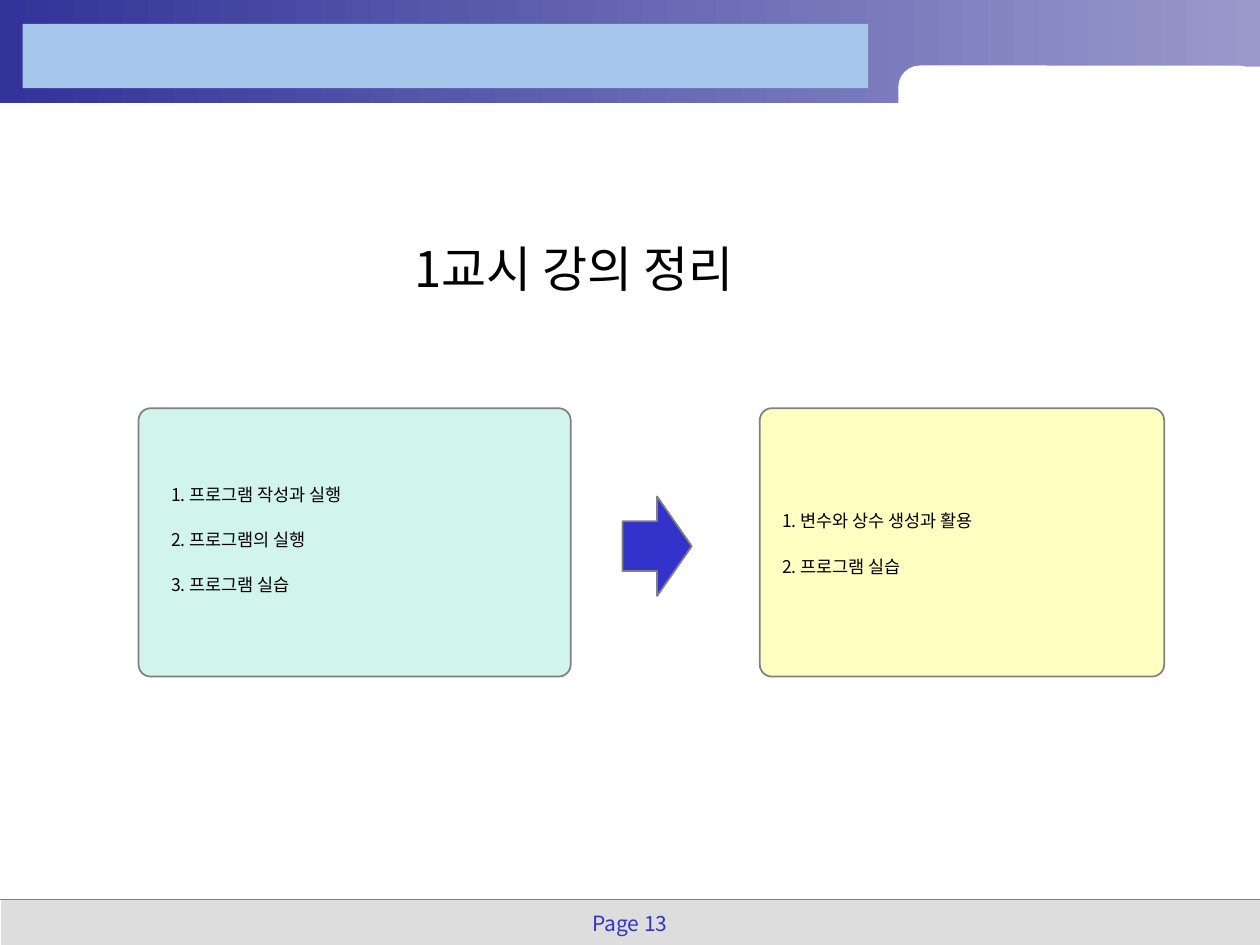
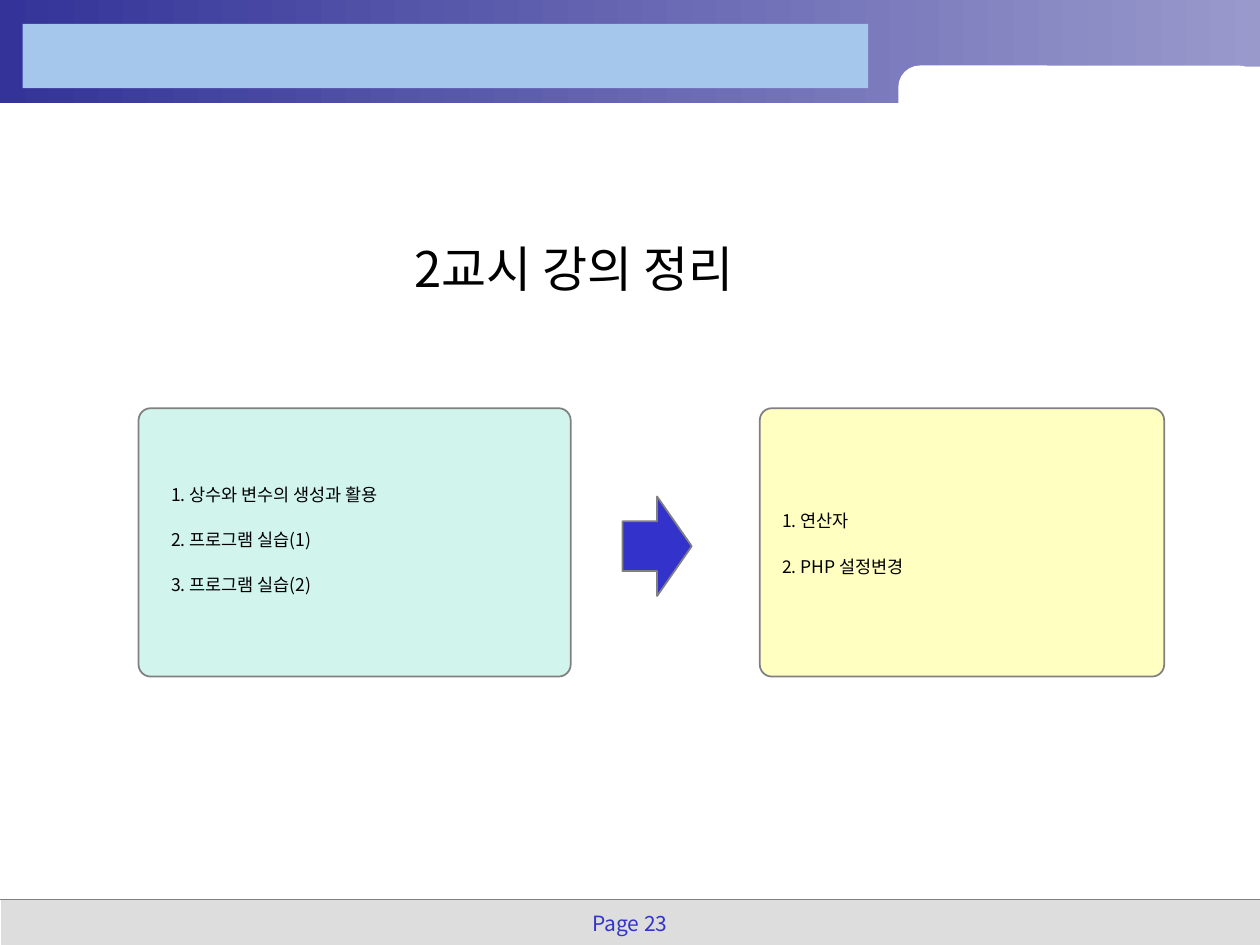
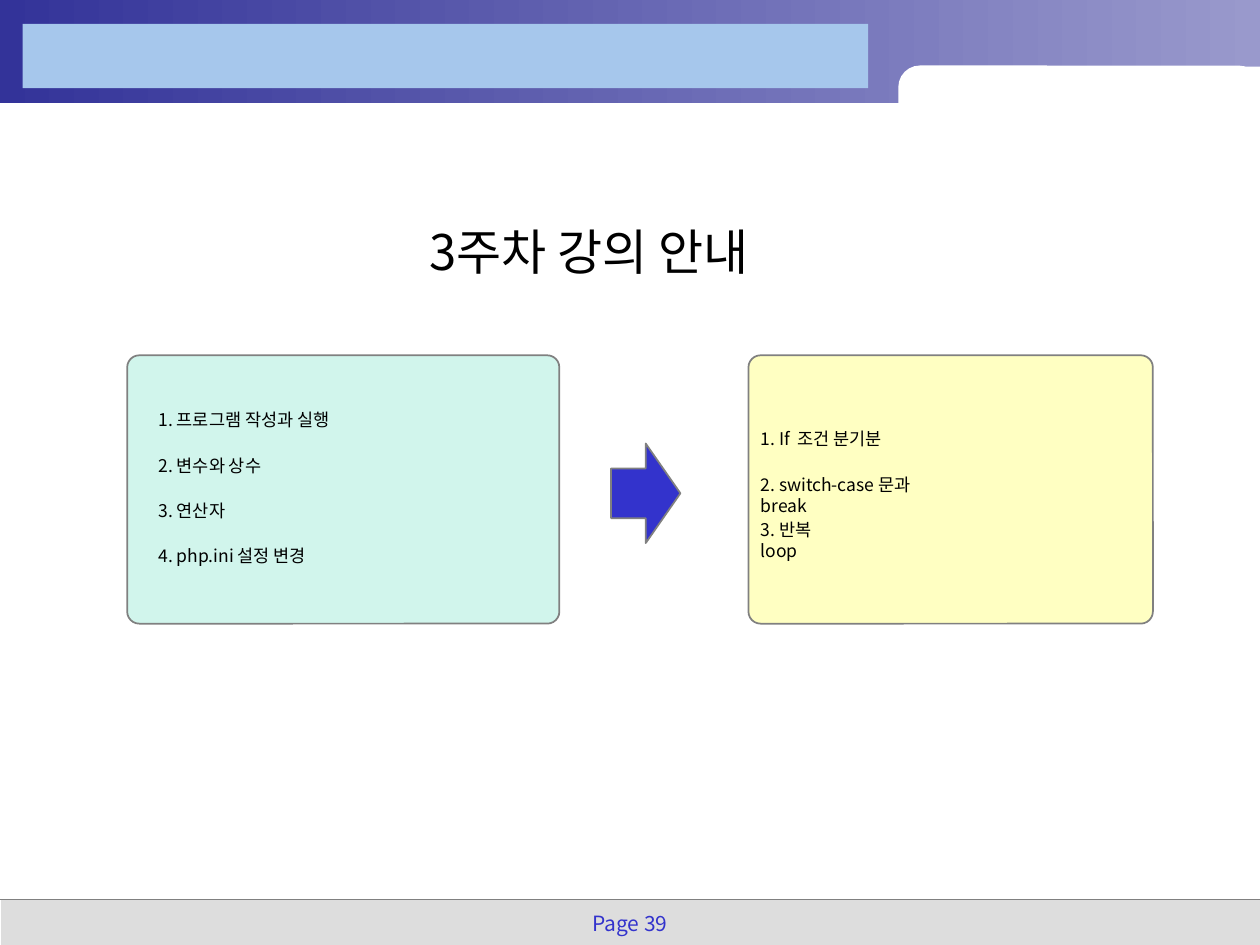
"""Build three lecture summary slides that lead from covered topics to coming ones."""
import dataclasses

import lxml.etree
import pptx
import pptx.dml.color
import pptx.enum.shapes
import pptx.enum.text
import pptx.oxml.ns
import pptx.util

Inches = pptx.util.Inches
SHAPES = pptx.enum.shapes.MSO_SHAPE
qn = pptx.oxml.ns.qn


@dataclasses.dataclass(frozen=True)
class Theme:
    font: str = "Noto Sans CJK KR"
    text: str = "000000"
    accent: str = "3333CC"
    outline: str = "808080"
    white: str = "FFFFFF"
    footer: str = "DDDDDD"
    band_start: str = "333399"
    band_end: str = "9999CC"
    title_bar: str = "A6C7EC"
    covered: str = "00CC99"
    covered_alpha: int = 18
    coming: str = "FFFF00"
    coming_alpha: int = 24
    title_size: int = 28
    page_size: int = 12
    item_size: int = 10
    line_width: int = 1


@dataclasses.dataclass(frozen=True)
class Topics:
    lines: tuple
    indent: float
    top: float
    wrap_widths: dict = dataclasses.field(default_factory=dict)


@dataclasses.dataclass(frozen=True)
class Summary:
    page_number: int
    title: str
    title_at: tuple
    board_at: tuple
    covered: Topics
    coming: Topics


THEME = Theme()
CARD_HEIGHT = 2.13
ITEM_PITCH = 0.36
ITEM_HEIGHT = 0.27

SUMMARIES = (
    Summary(13, "1교시 강의 정리", (3.19, 1.84), (1.1, 3.24),
            Topics(("1. 프로그램 작성과 실행", "2. 프로그램의 실행", "3. 프로그램 실습"), 0.16, 0.55),
            Topics(("1. 변수와 상수 생성과 활용", "2. 프로그램 실습"), 0.08, 0.76)),
    Summary(23, "2교시 강의 정리", (3.19, 1.84), (1.1, 3.24),
            Topics(("1. 상수와 변수의 생성과 활용", "2. 프로그램 실습(1)", "3. 프로그램 실습(2)"), 0.16, 0.55),
            Topics(("1. 연산자", "2. PHP 설정변경"), 0.08, 0.76)),
    Summary(39, "3주차 강의 안내", (3.31, 1.71), (1.01, 2.82),
            Topics(("1. 프로그램 작성과 실행", "2. 변수와 상수", "3. 연산자", "4. php.ini 설정 변경"), 0.15, 0.38),
            Topics(("1. If  조건 분기분", "2. switch-case 문과 break", "3. 반복 loop"), 0, 0.53,
                   {1: 1.7, 2: 0.9})),
)


def color(value):
    """Return an RGB colour from its hex text."""
    return pptx.dml.color.RGBColor.from_string(value)


def add_block(page, kind, left, top, width, height, fill, outlined=False):
    """Add a filled preset shape, with a grey outline if wanted."""
    block = page.shapes.add_shape(kind, Inches(left), Inches(top), Inches(width), Inches(height))
    block.shadow.inherit = False
    block.fill.solid()
    block.fill.fore_color.rgb = color(fill)
    if outlined:
        block.line.color.rgb = color(THEME.outline)
        block.line.width = pptx.util.Pt(THEME.line_width)
    else:
        block.line.fill.background()
    return block


def add_text(page, text, left, top, width, height, size, fill=THEME.text, wrap=False):
    """Add a one-paragraph text box and return its paragraph."""
    box = page.shapes.add_textbox(Inches(left), Inches(top), Inches(width), Inches(height))
    box.text_frame.text = text
    box.text_frame.word_wrap = wrap
    para = box.text_frame.paragraphs[0]
    for span in para.runs:
        span.font.name = THEME.font
        span.font.size = pptx.util.Pt(size)
        span.font.color.rgb = color(fill)
        east_asian = lxml.etree.SubElement(span.font._element, qn("a:ea"))
        east_asian.set("typeface", THEME.font)
    return para


def add_header(page):
    """Add the gradient band with its title bar and rounded white cut-out."""
    band = add_block(page, SHAPES.RECTANGLE, 0, 0, 10, 0.82, THEME.band_start)
    band.fill.gradient()
    band.fill.gradient_angle = 0
    for stop, position, value in zip(band.fill.gradient_stops, (0, 1), (THEME.band_start, THEME.band_end)):
        stop.position = position
        stop.color.rgb = color(value)
    cutout = add_block(page, SHAPES.ROUNDED_RECTANGLE, 7.13, 0.52, 2.87, 0.59, THEME.white)
    cutout.adjustments[0] = 0.29
    add_block(page, SHAPES.RECTANGLE, 9.1, 0.53, 0.9, 0.24, THEME.white)
    add_block(page, SHAPES.RECTANGLE, 0.18, 0.19, 6.71, 0.51, THEME.title_bar)


def add_footer(page, page_number):
    """Add the grey footer with its rule and page number."""
    top = 7.14
    add_block(page, SHAPES.RECTANGLE, 0.01, top, 9.99, 0.39, THEME.footer)
    rule = page.shapes.add_connector(pptx.enum.shapes.MSO_CONNECTOR.STRAIGHT,
                                     Inches(0), Inches(top), Inches(10), Inches(top))
    rule.line.color.rgb = color(THEME.outline)
    rule.line.width = pptx.util.Pt(THEME.line_width)
    lxml.etree.SubElement(rule._element.spPr, qn("a:effectLst"))
    para = add_text(page, f"Page {page_number}", 4.55, 7.2, 0.9, 0.28, THEME.page_size, THEME.accent, wrap=True)
    para.alignment = pptx.enum.text.PP_ALIGN.CENTER
    para.line_spacing = 0.9


def add_card(page, left, top, width, fill, alpha, topics):
    """Add a translucent rounded card and its evenly stepped topics."""
    card = add_block(page, SHAPES.ROUNDED_RECTANGLE, left, top, width, CARD_HEIGHT, fill, outlined=True)
    card.adjustments[0] = 0.045
    tone = card._element.spPr.find(qn("a:solidFill"))[0]
    lxml.etree.SubElement(tone, qn("a:alpha")).set("val", str(alpha * 1000))
    for index, line in enumerate(topics.lines):
        add_text(page, line, left + topics.indent, top + topics.top + index * ITEM_PITCH,
                 topics.wrap_widths.get(index, 2.05), ITEM_HEIGHT, THEME.item_size,
                 wrap=index in topics.wrap_widths)


def add_summary(deck, summary):
    """Add one slide with a title, two topic cards and the arrow between them."""
    page = deck.slides.add_slide(deck.slide_layouts[6])
    add_header(page)
    add_footer(page, summary.page_number)
    add_text(page, summary.title, *summary.title_at, 3.07, 0.57, THEME.title_size)
    left, top = summary.board_at
    add_card(page, left, top, 3.43, THEME.covered, THEME.covered_alpha, summary.covered)
    add_block(page, SHAPES.RIGHT_ARROW, left + 3.84, top + 0.7, 0.55, 0.79, THEME.accent, outlined=True)
    add_card(page, left + 4.93, top, 3.21, THEME.coming, THEME.coming_alpha, summary.coming)


def main():
    """Build and save the deck."""
    deck = pptx.Presentation()
    deck.slide_width = Inches(10)
    deck.slide_height = Inches(7.5)
    for summary in SUMMARIES:
        add_summary(deck, summary)
    deck.save("out.pptx")


if __name__ == "__main__":
    main()
